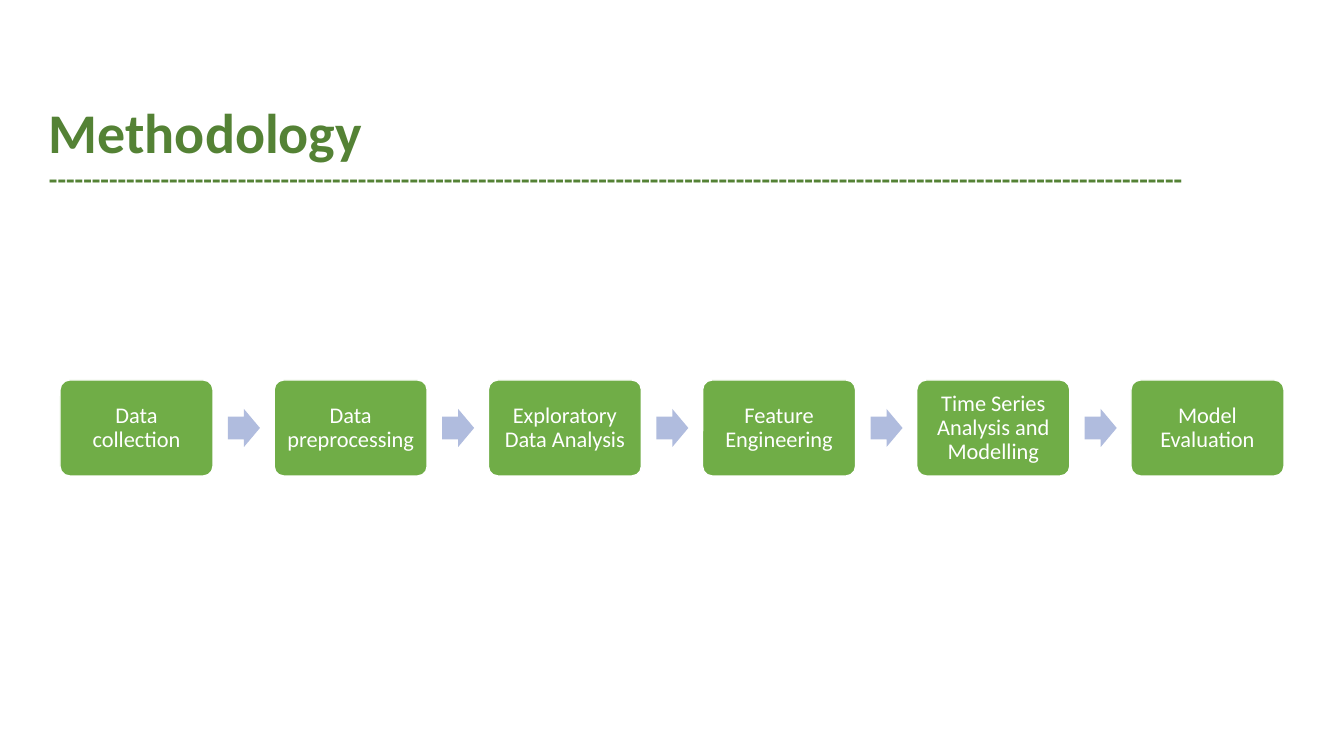
"""Build the Methodology slide: a title over a six-step process."""
from dataclasses import dataclass
from pptx import Presentation
from pptx.dml.color import RGBColor as Rgb
from pptx.enum.shapes import MSO_SHAPE as Shape
from pptx.enum.text import MSO_ANCHOR as Anchor, PP_ALIGN as Align
from pptx.util import Pt

TITLE = "Methodology"
RULE = "-" * 132
STEPS = [
    "Data collection",
    "Data preprocessing",
    "Exploratory Data Analysis",
    "Feature Engineering",
    "Time Series Analysis and Modelling",
    "Model Evaluation",
]


@dataclass(frozen=True)
class Theme:
    """Hold the colours, font and type sizes."""
    font: str = "Calibri"
    head: str = "548235"
    box: str = "70AD47"
    arrow: str = "B0BCDE"
    white: str = "FFFFFF"
    title: int = 40
    rule: int = 20
    step: int = 16


LOOK = Theme()
SIZE = (1344, 756)
HEAD = (39, 92, 1159, 117)
FIRST, LAST, TOP = 60, 1131, 380
BOX_W, BOX_H = 153, 96
ARROW_W, ARROW_H, GAP = 32, 38, 15
PAD = 7
PITCH = (LAST - FIRST) / (len(STEPS) - 1)


def px(n):
    """Turn pixels into EMU."""
    return round(n * 914400 / 100.8)


def add_run(para, text, size, color, bold=False):
    """Add one styled run to a paragraph."""
    run = para.add_run()
    run.text = text
    font = run.font
    font.name, font.size, font.bold = LOOK.font, Pt(size), bold
    font.color.rgb = Rgb.from_string(color)


def add_block(slide, kind, place, fill, adjust):
    """Add a filled preset shape without line or shadow."""
    block = slide.shapes.add_shape(kind, *map(px, place))
    block.shadow.inherit = False
    block.fill.solid()
    block.fill.fore_color.rgb = Rgb.from_string(fill)
    block.line.fill.background()
    for i, value in enumerate(adjust):
        block.adjustments[i] = value
    return block


def add_title(slide):
    """Add the heading and its dashed rule."""
    frame = slide.shapes.add_textbox(*map(px, HEAD)).text_frame
    frame.word_wrap = True
    frame.vertical_anchor = Anchor.MIDDLE
    para = frame.paragraphs[0]
    para.line_spacing = 0.9
    add_run(para, TITLE, LOOK.title, LOOK.head, True)
    para.add_line_break()
    add_run(para, RULE, LOOK.rule, LOOK.head, True)


def add_step(slide, text, left):
    """Add one labelled step box."""
    place = (left, TOP, BOX_W, BOX_H)
    box = add_block(slide, Shape.ROUNDED_RECTANGLE, place, LOOK.box, [0.1])
    box.line.color.rgb = Rgb.from_string(LOOK.white)
    box.line.width = Pt(1)
    frame = box.text_frame
    frame.word_wrap = True
    frame.vertical_anchor = Anchor.MIDDLE
    frame.margin_left = frame.margin_right = px(PAD)
    frame.margin_top = frame.margin_bottom = px(PAD)
    para = frame.paragraphs[0]
    para.alignment = Align.CENTER
    para.line_spacing = 0.9
    add_run(para, text, LOOK.step, LOOK.white)


def main():
    """Lay out the slide and save it."""
    deck = Presentation()
    deck.slide_width, deck.slide_height = map(px, SIZE)
    slide = deck.slides.add_slide(deck.slide_layouts[6])
    mid = TOP + (BOX_H - ARROW_H) / 2
    for i, text in enumerate(STEPS):
        left = FIRST + i * PITCH
        add_step(slide, text, left)
        if i < len(STEPS) - 1:
            place = (left + BOX_W + GAP, mid, ARROW_W, ARROW_H)
            add_block(slide, Shape.RIGHT_ARROW, place, LOOK.arrow, [0.6, 0.5])
    add_title(slide)
    deck.save("out.pptx")


if __name__ == "__main__":
    main()
